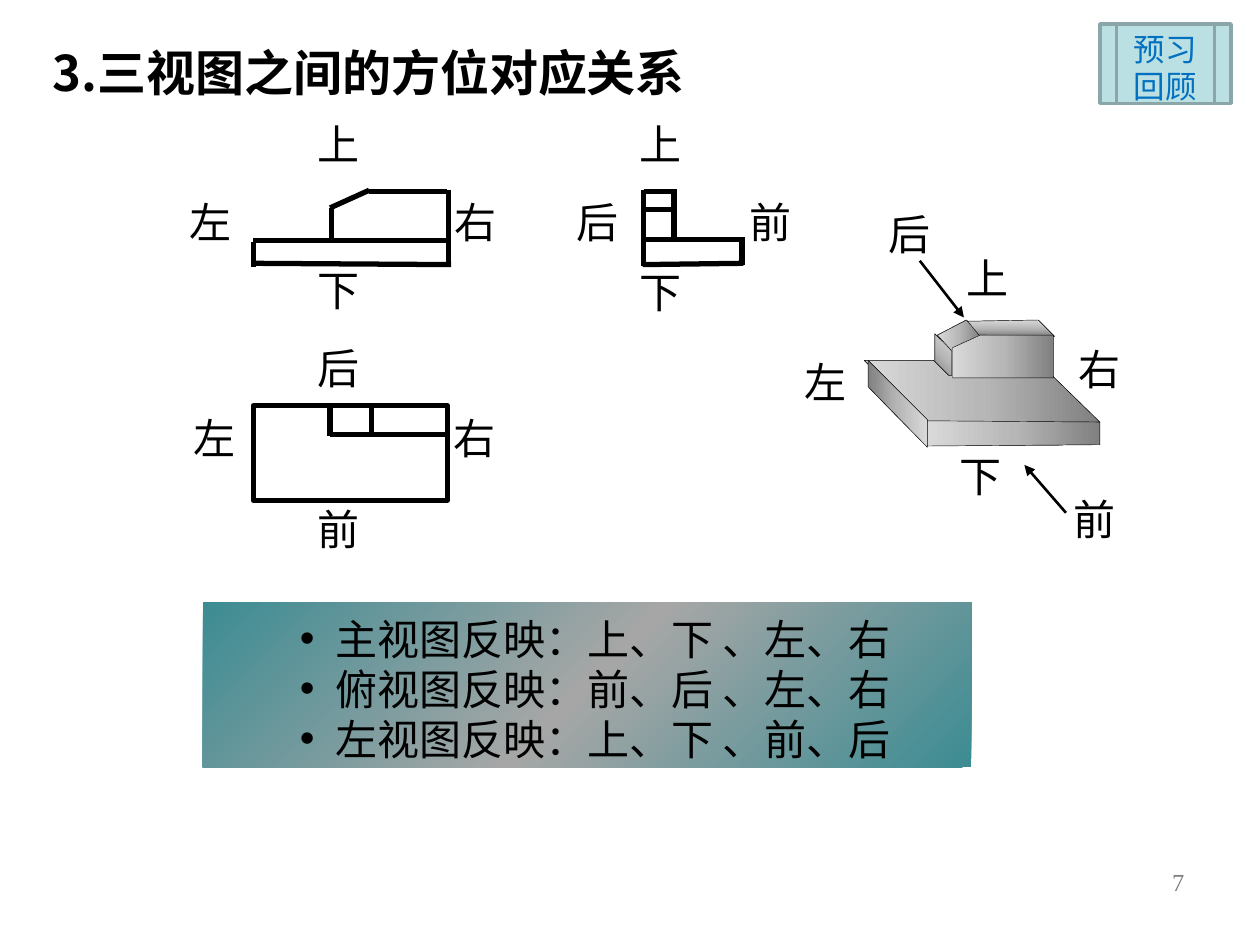
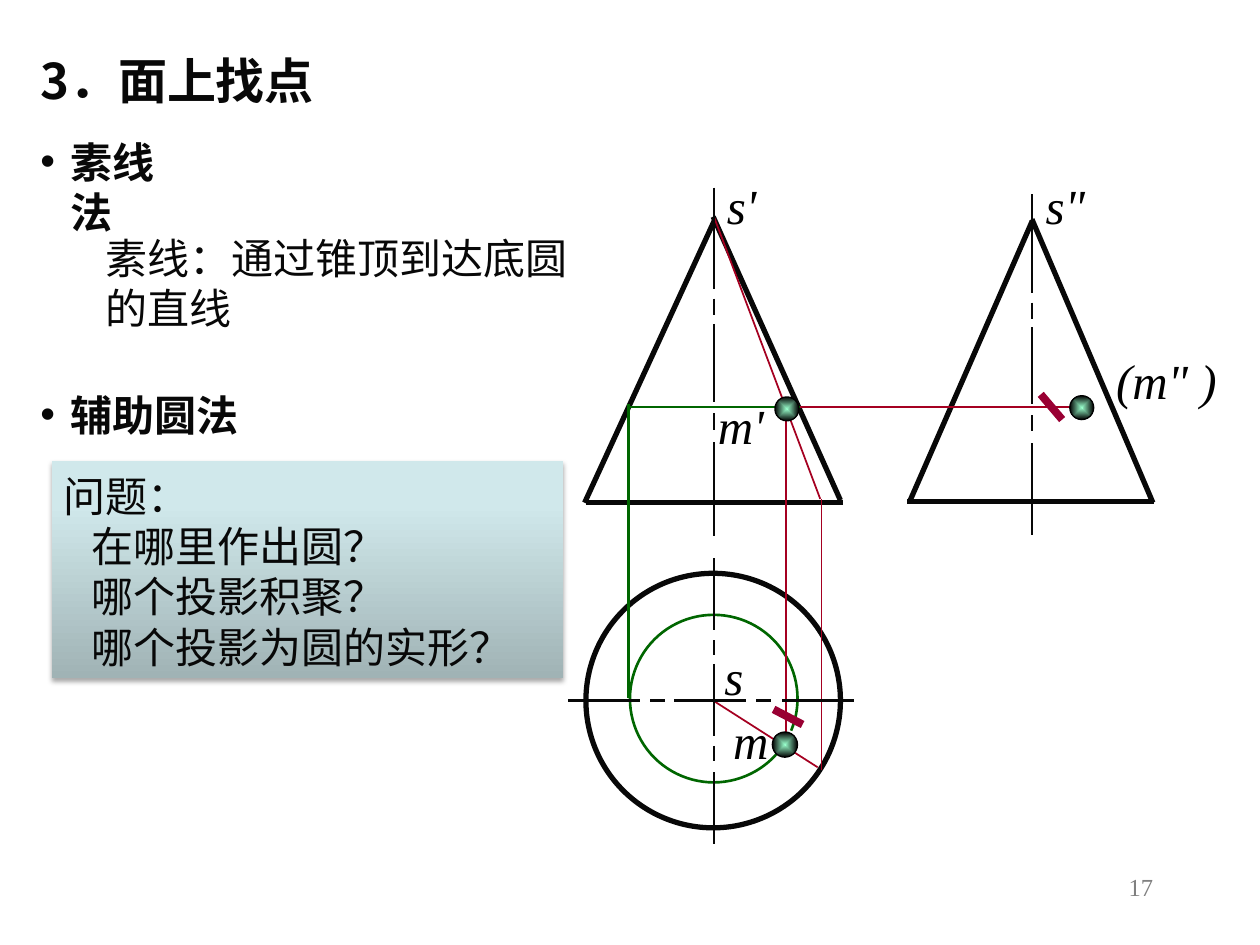
import pptx
import pptx.util
from lxml import etree
from pptx.dml.color import RGBColor
from pptx.enum.shapes import MSO_CONNECTOR, MSO_SHAPE
from pptx.enum.text import MSO_ANCHOR, MSO_AUTO_SIZE, PP_ALIGN
from pptx.oxml.ns import qn
from pptx.util import Inches, Pt

BLACK = RGBColor(0x00, 0x00, 0x00)
INK = RGBColor(0x08, 0x08, 0x08)
PAGE_GRAY = RGBColor(0x80, 0x80, 0x80)
BADGE_TEXT = RGBColor(0x00, 0x70, 0xC0)
BADGE_FILL = RGBColor(0xBB, 0xE0, 0xE3)
BADGE_EDGE = RGBColor(0x8A, 0xA6, 0xA8)
PROJECTION_RED = RGBColor(0xA5, 0x00, 0x21)
MARK_RED = RGBColor(0x99, 0x00, 0x33)
CIRCLE_GREEN = RGBColor(0x00, 0x66, 0x00)
TEAL = RGBColor(0x3C, 0x8C, 0x93)
SUMMARY_STOPS = [(0, TEAL), (50, RGBColor(0xA6, 0xA6, 0xA6)), (100, TEAL)]
QUESTION_STOPS = [(0, RGBColor(0xA0, 0xB3, 0xB5)), (80, RGBColor(0xD0, 0xE8, 0xEB)),
                  (100, RGBColor(0xD1, 0xEA, 0xEC))]
SOLID_STOPS = [(0, PAGE_GRAY), (50, RGBColor(0xB7, 0xB7, 0xB7)), (100, RGBColor(0xD9, 0xD9, 0xD9))]
POINT_STOPS = [(0, RGBColor(0x99, 0xFF, 0xCC)), (100, BLACK)]
HAN = "Noto Sans CJK SC"
LATIN = "Times New Roman"


def write(shape, lines, size, color, font=HAN, bold=False, italic=False,
          align=PP_ALIGN.LEFT, anchor=MSO_ANCHOR.TOP, indent=0, hang=0):
    """Fill a shape with equally styled lines; a hang turns them into bullets."""
    frame = shape.text_frame
    frame.word_wrap = True
    frame.auto_size = MSO_AUTO_SIZE.NONE
    frame.vertical_anchor = anchor
    frame.margin_left = frame.margin_right = Inches(0.1)
    tight = font == HAN and size < 28
    frame.margin_top = Inches(0.08 if tight else 0.05)
    frame.margin_bottom = Inches(0.02 if tight else 0.05)
    frame.text = "\n".join(lines)
    for paragraph in frame.paragraphs:
        properties = paragraph._p.get_or_add_pPr()
        properties.set("marL", str(Inches(indent)))
        properties.set("indent", str(-Inches(hang)))
        if hang:
            etree.SubElement(properties, qn("a:buChar")).set("char", "•")
        paragraph.alignment = align
        paragraph.space_before = Pt(0)
        if tight:
            paragraph.line_spacing = Pt(round(size * 1.19, 1))
        paragraph.font.size = Pt(size)
        paragraph.font.bold = bold
        paragraph.font.italic = italic
        paragraph.font.color.rgb = color
        paragraph.font.name = font
        etree.SubElement(properties.find(qn("a:defRPr")), qn("a:ea")).set("typeface", font)


def shade(shape, stops, angle=None):
    """Gradient fill: linear at an angle, or from the centre outwards without one."""
    shape.fill.gradient()
    gradient = shape._element.spPr.find(qn("a:gradFill"))
    gradient.clear()
    stop_list = etree.SubElement(gradient, qn("a:gsLst"))
    for position, color in stops:
        stop = etree.SubElement(stop_list, qn("a:gs"), pos=str(position * 1000))
        etree.SubElement(stop, qn("a:srgbClr"), val=str(color))
    if angle is None:
        centre = etree.SubElement(gradient, qn("a:path"))
        centre.set("path", "shape")
        etree.SubElement(centre, qn("a:fillToRect"), l="50000", t="50000", r="50000", b="50000")
    else:
        etree.SubElement(gradient, qn("a:lin"), ang=str(angle * 60000), scaled="0")


deck = pptx.Presentation()
deck.slide_width, deck.slide_height = Inches(10), Inches(7.5)
directions = deck.slides.add_slide(deck.slide_layouts[1])
cone = deck.slides.add_slide(deck.slide_layouts[3])

# Titles and page numbers
for slide, title, title_box, color, page, page_box in [
    (directions, "3.三视图之间的方位对应关系", (0.32, 0.28, 7.84, 0.58), BLACK, "7", (7.17, 6.83, 2.33, 0.52)),
    (cone, "3．面上找点", (0.22, 0.35, 3.27, 0.57), INK, "17", (7.17, 6.87, 2.08, 0.5)),
]:
    heading = slide.shapes.title
    heading.left, heading.top, heading.width, heading.height = map(Inches, title_box)
    write(heading, [title], 28, color, bold=True, anchor=MSO_ANCHOR.MIDDLE)
    number = slide.shapes.add_textbox(*map(Inches, page_box))
    write(number, [page], 14, PAGE_GRAY, LATIN, align=PP_ALIGN.RIGHT)

# Lists
summary = directions.placeholders[1]
for body, box, lines, color, bold, indent, hang in [
    (summary, (1.61, 4.78, 6.1, 1.31),
     ["主视图反映：上、下 、左、右", "俯视图反映：前、后 、左、右", "左视图反映：上、下 、前、后"],
     BLACK, False, 0.95, 0.28),
    (cone.placeholders[1], (0.22, 1.2, 1.39, 0.5), ["素线法"], INK, True, 0.24, 0.24),
    (cone.placeholders[2], (0.22, 3.01, 2.31, 0.5), ["辅助圆法"], INK, True, 0.24, 0.24),
]:
    body.left, body.top, body.width, body.height = map(Inches, box)
    write(body, lines, 24, color, bold=bold, anchor=MSO_ANCHOR.MIDDLE, indent=indent, hang=hang)
shade(summary, SUMMARY_STOPS, 45)

badge = directions.shapes.add_shape(
    MSO_SHAPE.FLOWCHART_PREDEFINED_PROCESS, Inches(8.73), Inches(0.19), Inches(1.04), Inches(0.63))
badge.shadow.inherit = False
badge.fill.solid()
badge.fill.fore_color.rgb = BADGE_FILL
badge.line.color.rgb = BADGE_EDGE
badge.line.width = Pt(2)
write(badge, ["预习回顾"], 18, BADGE_TEXT, align=PP_ALIGN.CENTER, anchor=MSO_ANCHOR.MIDDLE)

definition = cone.shapes.add_textbox(Inches(0.74), Inches(1.77), Inches(3.98), Inches(0.91))
write(definition, ["素线：通过锥顶到达底圆的直线"], 24, INK)

questions = cone.shapes.add_shape(
    MSO_SHAPE.RECTANGLE, Inches(0.41), Inches(3.66), Inches(4.06), Inches(1.72))
write(questions, ["问题：", "在哪里作出圆？", "哪个投影积聚？", "哪个投影为圆的实形？"], 24, INK)
for question in questions.text_frame.paragraphs[1:]:
    question._p.pPr.set("marL", str(Inches(0.22)))
shade(questions, QUESTION_STOPS, 270)
questions.line.fill.background()
questions.shadow.inherit = False
shadow = etree.SubElement(questions._element.spPr.find(qn("a:effectLst")), qn("a:outerShdw"),
                          blurRad=str(Pt(3.1)), dist=str(Pt(1.8)), dir="5400000", rotWithShape="0")
shadow_color = etree.SubElement(shadow, qn("a:srgbClr"), val=str(BLACK))
etree.SubElement(shadow_color, qn("a:alpha"), val="35000")

# Unfilled outlines: top view, base circle, auxiliary circle with a gap near m
for slide, outline, box, color, width, angles in [
    (directions, MSO_SHAPE.RECTANGLE, (2.01, 3.22, 1.54, 0.75), BLACK, 3, ()),
    (cone, MSO_SHAPE.OVAL, (4.65, 4.55, 2.02, 2.02), INK, 3, ()),
    (cone, MSO_SHAPE.ARC, (5, 4.88, 1.33, 1.33), CIRCLE_GREEN, 1.5, (34, 22.5)),
]:
    contour = slide.shapes.add_shape(outline, *map(Inches, box))
    for index, angle in enumerate(angles):
        contour.adjustments[index] = angle * 0.6
    contour.shadow.inherit = False
    contour.fill.background()
    contour.line.color.rgb = color
    contour.line.width = Pt(width)

# Straight lines, each as x1, y1, x2, y2
front_view = [
    (3.58, 2.1, 2.01, 2.09), (2.01, 2.12, 2.01, 1.92), (3.56, 2.1, 3.56, 1.51),
    (3.55, 1.52, 2.93, 1.52), (2.63, 1.92, 2.63, 1.65), (2.62, 1.65, 2.93, 1.51),
    (2.01, 1.91, 3.57, 1.91),
]
top_view = [(2.62, 3.45, 3.57, 3.45), (2.62, 3.46, 2.62, 3.23), (2.95, 3.23, 2.95, 3.45)]
side_view = [
    (5.11, 2.11, 5.11, 1.51), (5.89, 2.1, 5.89, 1.9), (5.11, 1.9, 5.91, 1.9),
    (5.1, 2.1, 5.9, 2.09), (5.11, 1.52, 5.37, 1.52), (5.11, 1.66, 5.37, 1.66),
    (5.35, 1.5, 5.35, 1.9),
]
direction_arrows = [(7.3, 2.07, 7.65, 2.52), (8.46, 4.07, 8.13, 3.69)]
cone_sides = [
    (4.65, 3.99, 6.69, 3.99), (4.64, 3.99, 5.67, 1.75), (6.67, 3.97, 5.66, 1.72),
    (7.2, 3.98, 9.16, 3.98), (7.22, 3.98, 8.19, 1.76), (9.15, 3.99, 8.19, 1.74),
]
projections = [
    (6.49, 6.09, 5.66, 5.56), (6.52, 6.11, 6.52, 3.96), (6.51, 3.96, 5.67, 1.73),
    (6.24, 5.98, 6.24, 3.21), (6.21, 3.23, 8.61, 3.23),
]
position_marks = [(6.14, 5.63, 6.37, 5.75), (8.26, 3.13, 8.43, 3.33)]
circle_projections = [(4.99, 5.54, 4.99, 3.21), (4.98, 3.23, 6.35, 3.23)]
circle_dashes = [(0, 0.57), (0.65, 0.77), (0.84, 1.41), (1.49, 1.61), (1.7, 2.27)]
cone_dashes = [(0, 0.8), (0.88, 1.01), (1.08, 1.7), (1.79, 1.92), (2.02, 2.76)]
axes = [(4.51 + a, 5.56, 4.51 + b, 5.56) for a, b in circle_dashes]
axes += [(5.67, 4.43 + a, 5.67, 4.43 + b) for a, b in circle_dashes]
for x, top, scale in [(5.67, 1.49, 1), (8.19, 1.54, 0.98)]:
    axes += [(x, top + a * scale, x, top + b * scale) for a, b in cone_dashes]

for slide, segments, color, width in [
    (directions, front_view + top_view + side_view, BLACK, 3),
    (directions, direction_arrows, BLACK, 1.5),
    (cone, cone_sides, INK, 3),
    (cone, projections, PROJECTION_RED, 1),
    (cone, position_marks, MARK_RED, 4.5),
    (cone, circle_projections, CIRCLE_GREEN, 1.5),
    (cone, axes, INK, 1.2),
]:
    for segment in segments:
        edge = slide.shapes.add_connector(MSO_CONNECTOR.STRAIGHT, *map(Inches, segment))
        edge.line.color.rgb = color
        edge.line.width = Pt(width)
        if segments is direction_arrows:
            etree.SubElement(edge.line._get_or_add_ln(), qn("a:tailEnd"), type="triangle")
        etree.SubElement(edge._element.spPr, qn("a:effectLst"))

# Faces of the solid
for angle, corners in [
    (315, [(7.42, 2.65), (7.42, 2.87), (7.55, 3), (7.55, 2.78)]),
    (180, [(7.44, 2.66), (7.67, 2.54), (7.78, 2.66), (7.55, 2.78)]),
    (270, [(7.68, 2.55), (8.24, 2.54), (8.37, 2.67), (7.77, 2.66)]),
    (180, [(7.41, 2.86), (7.53, 2.98), (8.36, 2.99), (8.73, 3.35), (7.35, 3.35), (6.86, 2.86)]),
    (180, [(7.56, 2.76), (7.56, 3), (8.36, 3), (8.36, 2.66), (7.78, 2.66)]),
    (0, [(6.89, 2.86), (6.89, 3.07), (7.36, 3.55), (7.36, 3.33)]),
    (180, [(7.36, 3.34), (8.73, 3.35), (8.73, 3.53), (7.36, 3.54)]),
]:
    points = [(Inches(x), Inches(y)) for x, y in corners]
    builder = directions.shapes.build_freeform(*points[0], scale=1.0)
    builder.add_line_segments(points[1:], close=True)
    face = builder.convert_to_shape()
    face.shadow.inherit = False
    shade(face, SOLID_STOPS, angle)
    face.line.color.rgb = BLACK
    face.line.width = Pt(0.25)

# Point M in its three projections
for x, y, size in [(8.49, 3.14, 0.19), (6.13, 5.81, 0.2), (6.15, 3.15, 0.19)]:
    point = cone.shapes.add_shape(MSO_SHAPE.OVAL, Inches(x), Inches(y), Inches(size), Inches(size))
    point.shadow.inherit = False
    shade(point, POINT_STOPS)
    point.line.color.rgb = BLACK
    point.line.width = Pt(0.75)

# Direction names around the views and the solid
for name, x, y in [
    ("上", 2.42, 0.86), ("下", 2.42, 2.02), ("左", 1.41, 1.48), ("右", 3.51, 1.48),
    ("后", 2.42, 2.64), ("前", 2.42, 3.92), ("左", 1.44, 3.2), ("右", 3.5, 3.2),
    ("上", 4.98, 0.86), ("下", 4.98, 2.04), ("后", 4.48, 1.48), ("前", 5.85, 1.48),
    ("上", 7.57, 1.93), ("下", 7.52, 3.5), ("左", 6.29, 2.75), ("右", 8.46, 2.65),
    ("后", 6.95, 1.58), ("前", 8.42, 3.84),
]:
    label = directions.shapes.add_textbox(Inches(x), Inches(y), Inches(0.6), Inches(0.5))
    write(label, [name], 24, BLACK)

for name, x, y in [
    ("s'", 5.67, 1.34), ('s"', 8.2, 1.34), ("s", 5.65, 5.08),
    ("m", 5.72, 5.59), ("m'", 5.6, 3.09), ('(m" )', 8.76, 2.73),
]:
    label = cone.shapes.add_textbox(Inches(x), Inches(y), Inches(1.1), Inches(0.57))
    write(label, [name], 28, BLACK, LATIN, italic=True)

deck.save("out.pptx")
